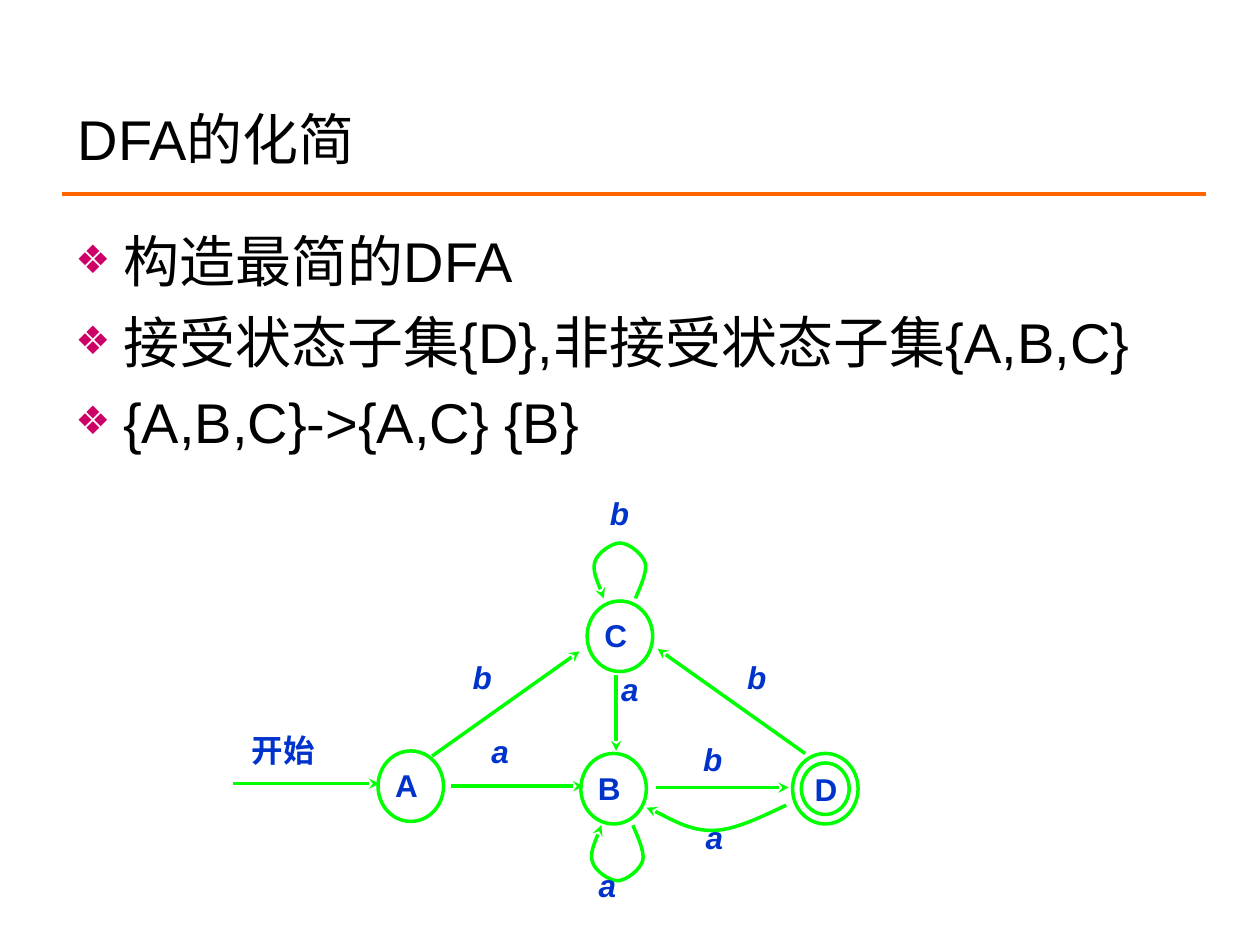
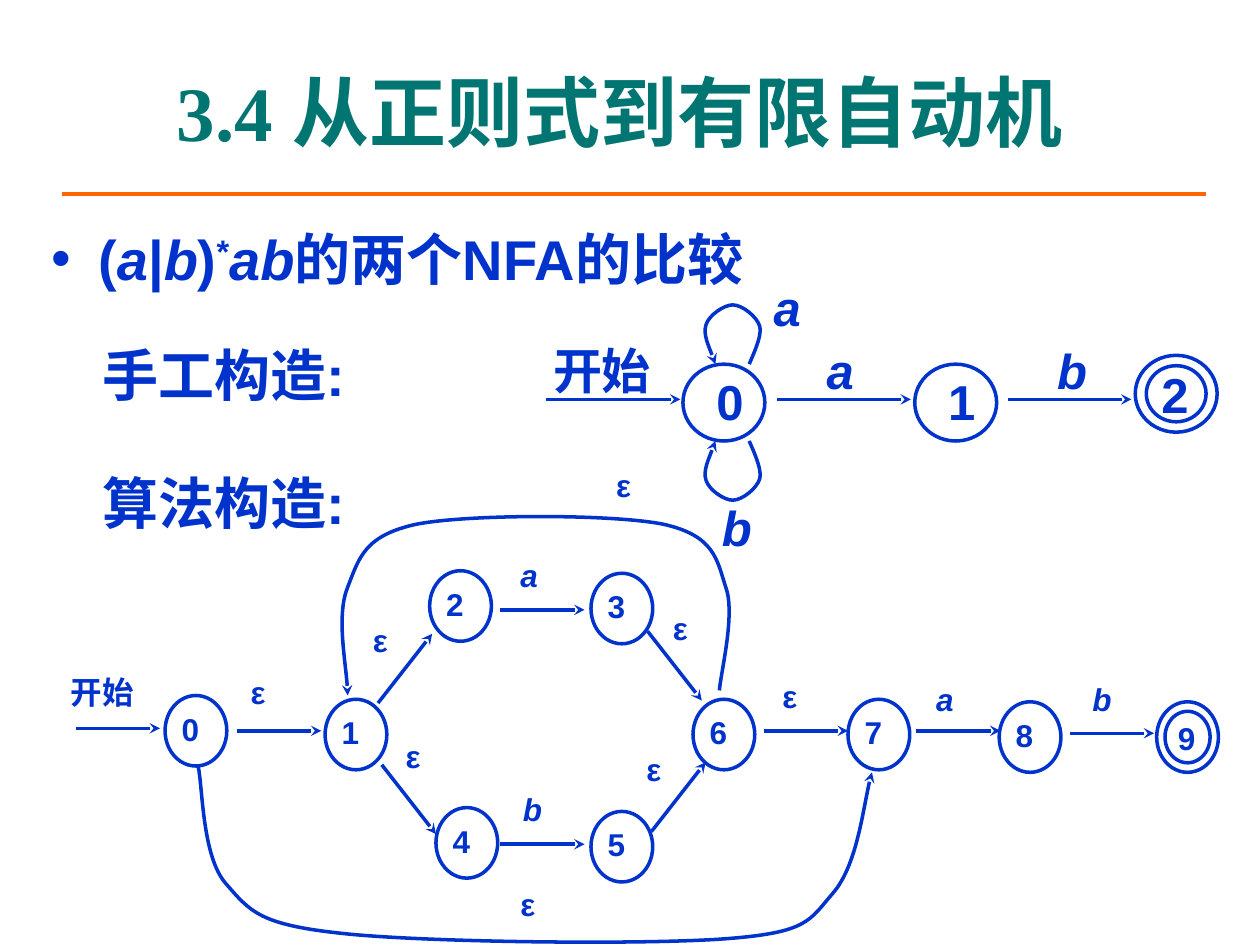
import pptx
import pptx.util
import pptx.dml.color
import pptx.enum.shapes
import pptx.enum.text
import pptx.oxml.ns
from lxml import etree

Inches = pptx.util.Inches
Pt = pptx.util.Pt
RGBColor = pptx.dml.color.RGBColor
Anchor = pptx.enum.text.MSO_ANCHOR
Align = pptx.enum.text.PP_ALIGN
Shape = pptx.enum.shapes.MSO_SHAPE
qn = pptx.oxml.ns.qn

BLACK = RGBColor(0x00, 0x00, 0x00)
WHITE = RGBColor(0xFF, 0xFF, 0xFF)
ORANGE = RGBColor(0xFF, 0x66, 0x00)
MAGENTA = RGBColor(0xCC, 0x00, 0x66)
BLUE = RGBColor(0x00, 0x33, 0xCC)
GREEN = RGBColor(0x00, 0xFF, 0x00)
TEAL = RGBColor(0x00, 0x75, 0x72)

LABEL_INSETS = (0.06, 0.03, 0.06, 0.03)
BOX_INSETS = (0.1, 0.05, 0.1, 0.05)
ACCEPT_RATIO = 0.73  # inner ring of an accepting state


class Deck:
    """Holds the shared style, the current slide and the current automaton."""

    def __init__(self):
        self.presentation = pptx.Presentation()
        self.presentation.slide_width = Inches(10)
        self.presentation.slide_height = Inches(7.5)

    def new_slide(self):
        self.slide = self.presentation.slides.add_slide(self.presentation.slide_layouts[6])
        self.line((0.49, 1.54), (9.57, 1.54), ORANGE, 2.25)

    def automaton(self, color, size, state_size, indent=0.0, anchor=Anchor.MIDDLE):
        """Set the look of the states, edges and labels that follow."""
        self.color = color
        self.size = size
        self.state_size = state_size
        self.indent = indent
        self.anchor = anchor

    # Text
    def frame(self, shape, insets, anchor=Anchor.TOP, wrap=True):
        frame = shape.text_frame
        frame.word_wrap = wrap
        frame.vertical_anchor = anchor
        frame.margin_left, frame.margin_top, frame.margin_right, frame.margin_bottom = map(Inches, insets)
        return frame

    def style(self, run, size, color, bold=False, italic=False, name="Arial"):
        run.font.name = name
        run.font.size = Pt(size)
        run.font.color.rgb = color
        run.font.bold = bold
        run.font.italic = italic

    def put_text(self, frame, text, size, color, align=Align.LEFT, **look):
        frame.text = text
        paragraph = frame.paragraphs[0]
        paragraph.alignment = align
        self.style(paragraph.runs[0], size, color, **look)

    def text_box(self, box, insets=BOX_INSETS, anchor=Anchor.TOP):
        return self.frame(self.slide.shapes.add_textbox(*map(Inches, box)), insets, anchor)

    def title(self, text, box, size, color, **look):
        self.put_text(self.text_box(box, anchor=Anchor.MIDDLE), text, size, color, **look)

    def bullet(self, paragraph, mark, hanging, color, percent=100):
        properties = paragraph._p.get_or_add_pPr()
        properties.set("marL", str(Inches(hanging)))
        properties.set("indent", str(-Inches(hanging)))
        mark_color = etree.SubElement(properties, qn("a:buClr"))
        etree.SubElement(mark_color, qn("a:srgbClr"), val=str(color))
        etree.SubElement(properties, qn("a:buSzPct"), val=str(percent * 1000))
        etree.SubElement(properties, qn("a:buFont"), typeface="Arial")
        etree.SubElement(properties, qn("a:buChar"), char=mark)

    def bullets(self, items, box):
        frame = self.text_box(box)
        frame.text = "\n".join(items)
        for index, paragraph in enumerate(frame.paragraphs):
            self.bullet(paragraph, "❖", 0.38, MAGENTA, 70)
            if index:
                paragraph.space_before = Pt(7.5)
            self.style(paragraph.runs[0], 32, BLACK)

    def formula(self, parts, box):
        """One bulleted line; each part is (text, italic, raised)."""
        paragraph = self.text_box(box, LABEL_INSETS).paragraphs[0]
        self.bullet(paragraph, "•", 0.37, BLUE)
        for text, italic, raised in parts:
            run = paragraph.add_run()
            run.text = text
            self.style(run, 32, BLUE, bold=True, italic=italic)
            if raised:
                run._r.get_or_add_rPr().set("baseline", "30000")

    def caption(self, text, left, top):
        plate = self.slide.shapes.add_shape(
            Shape.RECTANGLE, Inches(left), Inches(top), Inches(1.89), Inches(0.79))
        plate.shadow.inherit = False
        plate.fill.solid()
        plate.fill.fore_color.rgb = WHITE
        plate.line.fill.background()
        frame = self.frame(plate, LABEL_INSETS, Anchor.MIDDLE, wrap=False)
        self.put_text(frame, text, 32, BLUE, bold=True)

    # Parts of an automaton
    def label(self, text, left, top, width=0.45):
        frame = self.text_box((left, top, width, 0.45), LABEL_INSETS)
        self.put_text(frame, text, self.size, BLUE, bold=True, italic=text in "ab")

    def labels(self, text, places):
        for left, top in places:
            self.label(text, left, top)

    def ring(self, left, top, width, height):
        ring = self.slide.shapes.add_shape(Shape.OVAL, *map(Inches, (left, top, width, height)))
        ring.shadow.inherit = False
        ring.fill.background()
        ring.line.color.rgb = self.color
        ring.line.width = Pt(2)
        return ring

    def state(self, name, left, top, accepting=False):
        width, height = self.state_size
        ring = self.ring(left, top, width, height)
        insets = (0.06 + self.indent, 0.03, 0.02, 0.05)
        if accepting:
            margin = (1 - ACCEPT_RATIO) / 2
            ring = self.ring(left + width * margin, top + height * margin,
                             width * ACCEPT_RATIO, height * ACCEPT_RATIO)
            insets = (0.05, 0, 0.01, 0)
        frame = self.frame(ring, insets, self.anchor)
        self.put_text(frame, name, self.size, BLUE, bold=True)

    def arrowhead(self, line):
        etree.SubElement(line._get_or_add_ln(), qn("a:tailEnd"), type="stealth")

    def line(self, start, end, color, width):
        connector = self.slide.shapes.add_connector(
            pptx.enum.shapes.MSO_CONNECTOR.STRAIGHT, *map(Inches, start + end))
        connector.line.color.rgb = color
        connector.line.width = Pt(width)
        etree.SubElement(connector._element.spPr, qn("a:effectLst"))
        return connector

    def edges(self, ends):
        for start, end in ends:
            self.arrowhead(self.line(start, end, self.color, 2).line)

    def curved_edge(self, *points):
        """Bezier edge: a start point, then three points for each segment."""
        start, *rest = [tuple(map(Inches, point)) for point in points]
        builder = self.slide.shapes.build_freeform(*start)
        builder.add_line_segments(rest, close=False)
        curve = builder.convert_to_shape()
        outline = curve._element.find(".//" + qn("a:path"))
        segments = outline.findall(qn("a:lnTo"))
        for first in range(0, len(segments), 3):
            bezier = etree.SubElement(outline, qn("a:cubicBezTo"))
            for segment in segments[first:first + 3]:
                bezier.append(segment[0])
                outline.remove(segment)
        curve.shadow.inherit = False
        curve.fill.background()
        curve.line.color.rgb = self.color
        curve.line.width = Pt(2)
        self.arrowhead(curve.line)

    def loop(self, left, base, rise):
        """Self-loop of a state; a negative rise hangs it below."""
        shape = ((0.78, 0), (0.82, 0.1), (1, 0.47), (0.96, 0.63), (0.92, 0.79),
                 (0.67, 1), (0.5, 1), (0.36, 1), (0.1, 0.83), (0.05, 0.66),
                 (0, 0.5), (0.17, 0.12), (0.21, 0))
        width = abs(rise)
        self.curved_edge(*[(left + x * width, base - y * rise) for x, y in shape])


def minimised_dfa(deck):
    deck.new_slide()
    deck.title("DFA的化简", (0.52, 0.78, 7.26, 0.64), 32, BLACK)
    deck.bullets(["构造最简的DFA", "接受状态子集{D},非接受状态子集{A,B,C}", "{A,B,C}->{A,C} {B}"],
                 (0.5, 1.75, 9, 4.95))

    deck.automaton(GREEN, 18, (0.52, 0.56))
    for name, left, top in (("A", 3, 5.96), ("B", 4.61, 5.98), ("C", 4.66, 4.77)):
        deck.state(name, left, top)
    deck.state("D", 6.29, 5.98, accepting=True)

    deck.edges([((1.85, 6.22), (3.01, 6.22)), ((3.58, 6.24), (4.63, 6.24)),
                ((5.21, 6.25), (6.26, 6.25)), ((3.43, 6), (4.6, 5.17)),
                ((4.89, 5.36), (4.89, 5.96)), ((6.39, 5.98), (5.22, 5.15))])
    deck.loop(4.7, 4.75, 0.44)
    deck.loop(4.68, 6.55, -0.44)
    deck.curved_edge((6.24, 6.39), (6.15, 6.43), (5.85, 6.59), (5.67, 6.59),
                     (5.48, 6.6), (5.24, 6.45), (5.13, 6.41))

    deck.label("开始", 1.94, 5.77, 0.9)
    deck.labels("a", [(3.84, 5.78), (4.69, 6.84), (5.54, 6.46), (4.87, 5.29)])
    deck.labels("b", [(5.52, 5.84), (3.69, 5.19), (4.78, 3.89), (5.87, 5.19)])


def nfa_comparison(deck):
    deck.new_slide()
    deck.formula([("(", False, False), ("a", True, False), ("|", False, False),
                  ("b", True, False), (")", False, False), ("*", False, True),
                  ("ab", True, False), ("的两个NFA的比较", False, False)],
                 (0.35, 1.75, 9.37, 5.31))
    deck.caption("手工构造:", 0.75, 2.57)
    deck.caption("算法构造:", 0.75, 3.59)
    deck.title("3.4 从正则式到有限自动机", (0.67, 0.25, 8.5, 1.25), 44, TEAL,
               align=Align.CENTER, bold=True, name="Times New Roman")

    # Automaton built by hand
    deck.automaton(BLUE, 28, (0.65, 0.61), indent=0.11)
    deck.state("0", 5.42, 2.89)
    deck.state("1", 7.26, 2.89)
    deck.state("2", 9.01, 2.82, accepting=True)
    deck.edges([((left, 3.17), (right, 3.17))
                for left, right in ((4.33, 5.4), (6.17, 7.23), (8, 8.98))])
    deck.loop(5.58, 2.89, 0.47)
    deck.loop(5.58, 3.5, -0.47)
    deck.label("开始", 4.33, 2.67, 1.06)
    deck.labels("a", [(6.5, 2.67), (6.08, 2.17)])
    deck.labels("b", [(5.67, 3.92), (8.33, 2.67)])

    # Automaton built by the algorithm
    deck.automaton(BLUE, 18, (0.49, 0.56), anchor=Anchor.TOP)
    places = [(1.31, 5.52), (2.58, 5.55), (3.41, 4.53), (4.69, 4.55), (3.46, 6.41),
              (4.69, 6.44), (5.5, 5.55), (6.73, 5.55), (7.93, 5.57), (9.18, 5.57)]
    for number, (left, top) in enumerate(places):
        deck.state(str(number), left, top, accepting=number == 9)

    level = [(0.6, 5.78), (1.88, 5.8), (6.06, 5.8), (7.27, 5.8), (8.49, 5.82),
             (3.97, 4.84), (3.97, 6.7)]
    deck.edges([((x, y), (x + 0.67, y)) for x, y in level])
    slanted = [(3, 5.58, -0.55), (5.14, 5.01, 0.55), (5.17, 6.6, -0.55), (3.03, 6.07, 0.55)]
    deck.edges([((x, y), (x + 0.43, y + drop)) for x, y, drop in slanted])
    deck.curved_edge((1.57, 6.07), (1.61, 6.23), (1.6, 6.79), (1.79, 7.01),
                     (1.99, 7.24), (2.06, 7.34), (2.73, 7.41),
                     (3.39, 7.48), (5.12, 7.5), (5.77, 7.45),
                     (6.41, 7.4), (6.42, 7.31), (6.61, 7.09),
                     (6.8, 6.87), (6.86, 6.33), (6.92, 6.13))
    deck.curved_edge((5.71, 5.48), (5.72, 5.34), (5.84, 4.87), (5.76, 4.66),
                     (5.69, 4.44), (5.67, 4.25), (5.26, 4.16),
                     (4.85, 4.08), (3.73, 4.08), (3.31, 4.16),
                     (2.89, 4.25), (2.85, 4.43), (2.76, 4.66),
                     (2.67, 4.88), (2.76, 5.34), (2.76, 5.52))

    deck.label("开始", 0.5, 5.31, 0.79)
    deck.labels("a", [(4.07, 4.38), (7.37, 5.37)])
    deck.labels("b", [(4.09, 6.24), (8.61, 5.37)])
    deck.labels("ε", [(1.93, 5.31), (2.9, 4.9), (3.16, 5.82), (5.28, 4.8), (5.07, 5.92),
                      (4.07, 6.99), (6.15, 5.34), (4.83, 3.67)])


def main():
    deck = Deck()
    minimised_dfa(deck)
    nfa_comparison(deck)
    deck.presentation.save("out.pptx")


if __name__ == "__main__":
    main()
